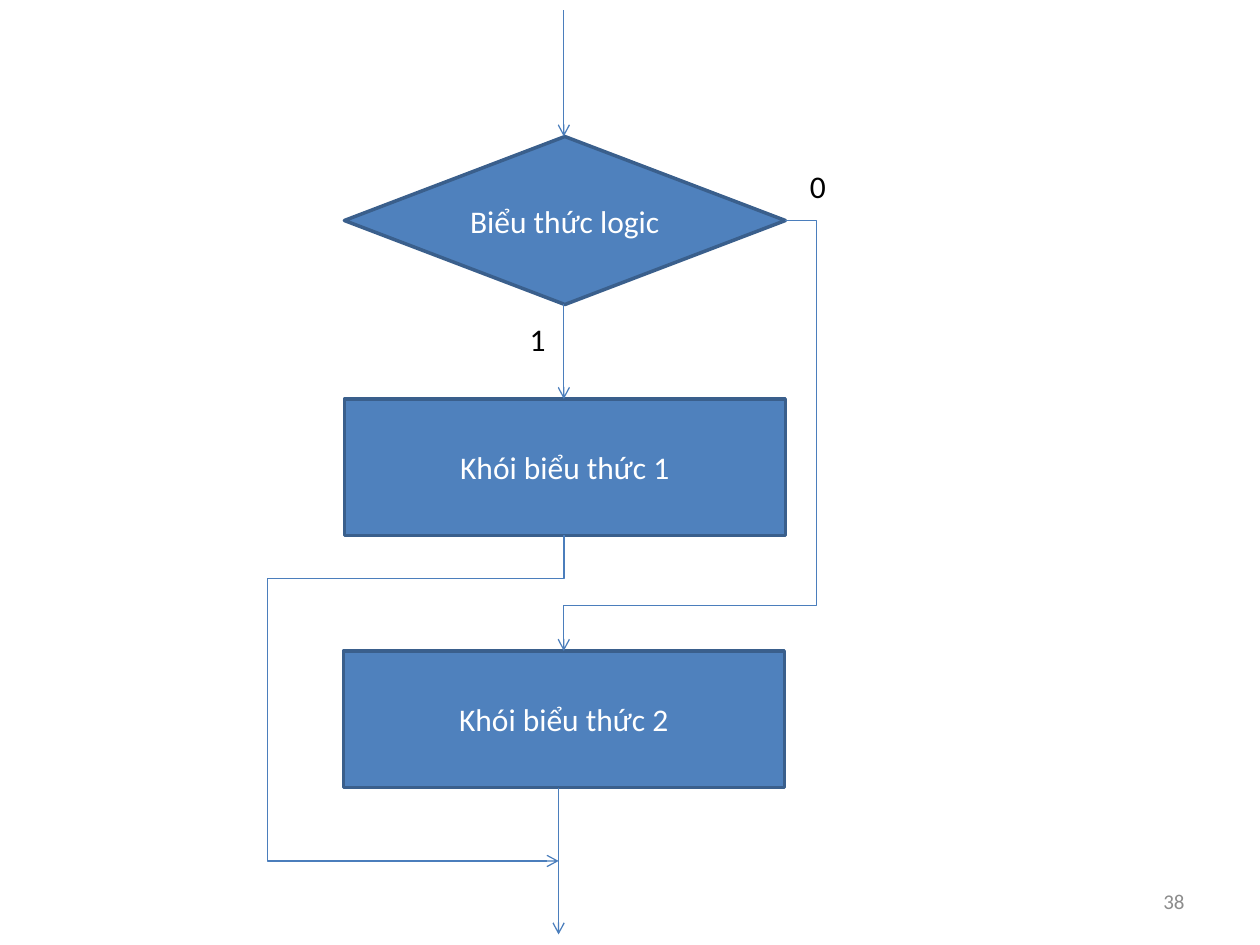
from lxml import etree
from pptx import Presentation
from pptx.dml.color import RGBColor
from pptx.enum.shapes import MSO_CONNECTOR, MSO_SHAPE
from pptx.enum.text import MSO_ANCHOR, PP_ALIGN
from pptx.oxml.ns import qn
from pptx.util import Inches, Pt

STRAIGHT, ELBOW = MSO_CONNECTOR.STRAIGHT, MSO_CONNECTOR.ELBOW
DIAMOND, RECTANGLE = MSO_SHAPE.DIAMOND, MSO_SHAPE.RECTANGLE
CENTER, RIGHT, MIDDLE = PP_ALIGN.CENTER, PP_ALIGN.RIGHT, MSO_ANCHOR.MIDDLE

COLORS = {"fill": "4F81BD", "border": "3A5F8C", "arrow": "4B7EBC",
          "light": "FFFFFF", "dark": "000000", "muted": "8C8C8C"}

# The page is a grid of 120 columns by 90 rows, twelve to the inch
COLUMNS, ROWS, CELL = 120, 90, Inches(1 / 12)


def grid(value):
    return round(value * CELL)


def color(name):
    return RGBColor.from_string(COLORS[name])


def write(shape, text, ink, size=18, align=CENTER):
    frame = shape.text_frame
    for name, value in {"word_wrap": True, "vertical_anchor": MIDDLE}.items():
        setattr(frame, name, value)
    para = frame.paragraphs[0]
    para.alignment = align
    span = para.add_run()
    span.text = text
    for name, value in {"name": "Calibri", "size": Pt(size)}.items():
        setattr(span.font, name, value)
    span.font.color.rgb = color(ink)


def add_step(page, kind, box, text):
    step = page.shapes.add_shape(kind, *map(grid, box))
    step.shadow.inherit = False
    step.fill.solid()
    step.fill.fore_color.rgb = color("fill")
    step.line.color.rgb = color("border")
    step.line.width = Pt(2)
    write(step, text, "light")


def add_label(page, box, text, ink="dark", **format_values):
    label = page.shapes.add_textbox(*map(grid, box))
    write(label, text, ink, **format_values)


def add_arrow(page, start, end, kind=STRAIGHT):
    arrow = page.shapes.add_connector(kind, *map(grid, start + end))
    arrow.line.color.rgb = color("arrow")
    arrow.line.width = Pt(0.75)
    etree.SubElement(arrow.line._get_or_add_ln(), qn("a:tailEnd"), type="arrow")
    etree.SubElement(arrow._element.spPr, qn("a:effectLst"))
    return arrow


def set_bends(arrow, *shares):
    """Turn an elbow into a three-bend route; shares are of its own box."""
    shape_kind = arrow._element.spPr.find(qn("a:prstGeom"))
    shape_kind.set("prst", "bentConnector4")
    guides = shape_kind.find(qn("a:avLst"))
    for number, share in enumerate(shares, 1):
        etree.SubElement(guides, qn("a:gd"), name=f"adj{number}",
                         fmla=f"val {round(share * 100000)}")


def add_side_route(page, start, end, side, row):
    """Leave sideways to column `side`, then enter from above at `row`."""
    (x1, y1), (x2, y2) = start, end
    arrow = add_arrow(page, start, end, ELBOW)
    set_bends(arrow, (side - x1) / (x2 - x1), (row - y1) / (y2 - y1))


def add_down_route(page, start, end, row, side):
    """Leave downwards to `row`, then enter sideways from column `side`."""
    (x1, y1), (x2, y2) = start, end
    length, depth = y2 - y1, x1 - x2
    left, top = (x1 + x2 - length) / 2, (y1 + y2 - depth) / 2
    arrow = add_arrow(page, (left, top), (left + length, top + depth), ELBOW)
    arrow._element.spPr.find(qn("a:xfrm")).set("rot", str(90 * 60000))
    set_bends(arrow, (row - y1) / length, (x1 - side) / depth)


def add_flowchart(page, box):
    left, top, width, height = box
    bottom = top + height
    spine, exit_column = left + 20.9, left + 20.4
    test_top, test_height = top + 12, 16
    test_bottom, test_middle = test_top + test_height, test_top + test_height / 2
    first_top, second_top, block_height = top + 37, top + 61, 13
    first_bottom, second_bottom = first_top + block_height, second_top + block_height

    # Condition and the two blocks
    add_step(page, DIAMOND, (left, test_top, width, test_height), "Biểu thức logic")
    for row, shift, number in ((first_top, 0, 1), (second_top, -0.1, 2)):
        add_step(page, RECTANGLE, (left + shift, row, width, block_height),
                 f"Khói biểu thức {number}")

    # Straight flow
    for column, start, end in ((spine, top, test_top),
                               (spine, test_bottom, first_top),
                               (exit_column, second_bottom, bottom)):
        add_arrow(page, (column, start), (column, end))

    # False branch, and the way round the second block
    add_side_route(page, (left + width, test_middle), (spine, second_top),
                   side=left + width + 3, row=second_top - 4.3)
    add_down_route(page, (spine, first_bottom), (exit_column, bottom - 7),
                   row=first_bottom + 4.1, side=left - 7.3)

    # Branch values
    add_label(page, (spine - 5, test_bottom, 5, 6.5), "1")
    add_label(page, (left + width + 0.6, test_top + 1.5, 5, 6.5), "0")


def main():
    deck = Presentation()
    deck.slide_width, deck.slide_height = grid(COLUMNS), grid(ROWS)
    page = deck.slides.add_slide(deck.slide_layouts[6])
    add_flowchart(page, (32.8, 1, 42, 88))
    # Page number
    add_label(page, (86, 83.4, 28, 4.8), "38", "muted", size=12, align=RIGHT)
    deck.save("out.pptx")


if __name__ == "__main__":
    main()
